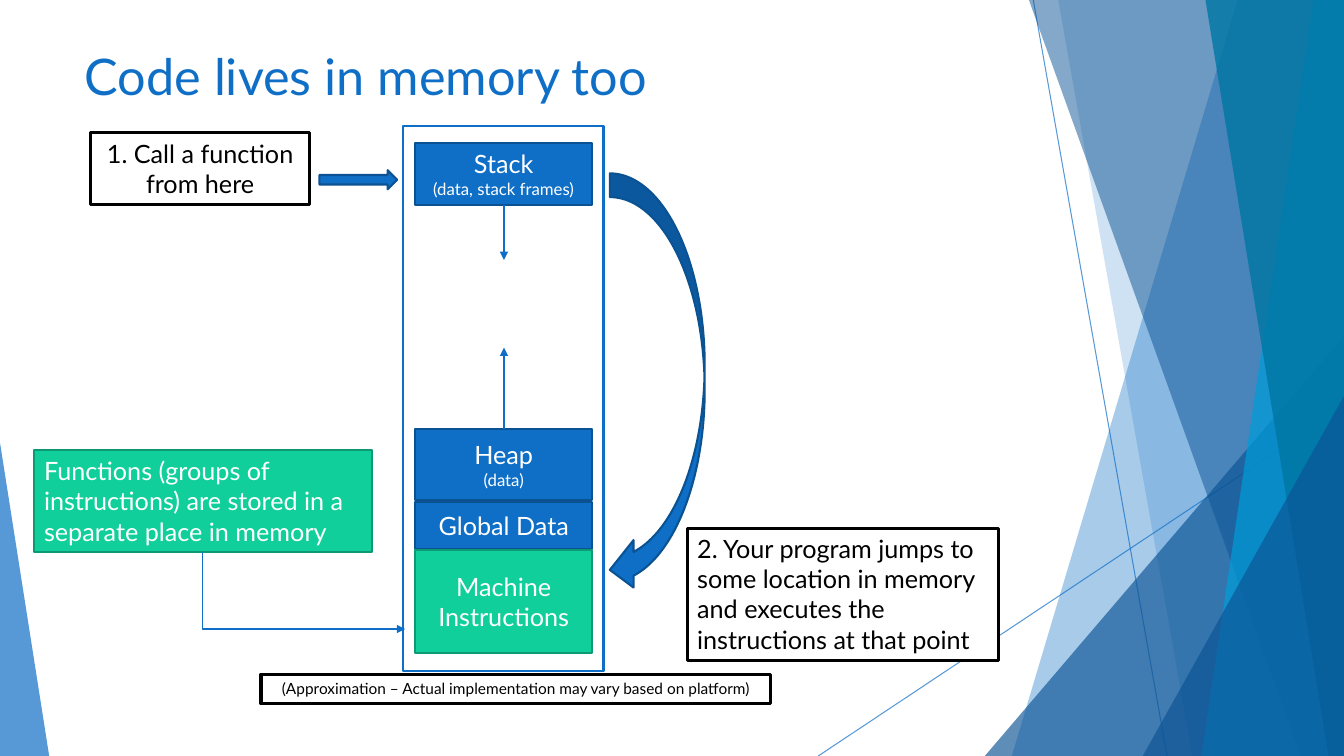
import lxml.etree
import pptx
import pptx.dml.color
import pptx.enum.shapes
import pptx.enum.text
import pptx.oxml.ns
import pptx.util

Cm = pptx.util.Cm
Pt = pptx.util.Pt
RGBColor = pptx.dml.color.RGBColor
Shapes = pptx.enum.shapes.MSO_SHAPE
Connectors = pptx.enum.shapes.MSO_CONNECTOR
Align = pptx.enum.text.PP_ALIGN
Anchor = pptx.enum.text.MSO_ANCHOR
qn = pptx.oxml.ns.qn

BLUE = RGBColor(0x0F, 0x6F, 0xC6)
BLUE_EDGE = RGBColor(0x0B, 0x52, 0x92)
NAVY = RGBColor(0x0B, 0x53, 0x94)
CYAN = RGBColor(0x00, 0x9D, 0xD9)
TEAL = RGBColor(0x00, 0x76, 0xA3)
GREEN = RGBColor(0x10, 0xCF, 0x9B)
GREEN_EDGE = RGBColor(0x0C, 0x99, 0x73)
WHITE = RGBColor(0xFF, 0xFF, 0xFF)
BLACK = RGBColor(0x00, 0x00, 0x00)

SLIDE_WIDTH, SLIDE_HEIGHT = 33.87, 19.05


class SlideBuilder:
    """Holds the style and the current slide; lengths are centimetres."""

    font_name = "Lato"
    text_size = 18

    def __init__(self, presentation):
        """Add a title-only slide."""
        self.slide = presentation.slides.add_slide(presentation.slide_layouts[5])
        self.shapes = self.slide.shapes

    def set_opacity(self, fill, percent):
        """Make a solid fill partly transparent."""
        color = fill._xPr.find(qn("a:solidFill"))[0]
        lxml.etree.SubElement(color, qn("a:alpha")).set("val", str(percent * 1000))

    def add_run(self, paragraph, text, size, color):
        """Add one formatted run."""
        run = paragraph.add_run()
        run.text = text
        run.font.name = self.font_name
        run.font.size = Pt(size)
        run.font.color.rgb = color

    def title(self, text, left, top, width, height):
        """Place the title placeholder in front of the backdrop."""
        title = self.shapes.title
        title.left, title.top = Cm(left), Cm(top)
        title.width, title.height = Cm(width), Cm(height)
        title.text_frame.vertical_anchor = Anchor.MIDDLE
        paragraph = title.text_frame.paragraphs[0]
        paragraph.alignment = Align.LEFT
        self.add_run(paragraph, text, 36, BLUE)
        title.element.getparent().append(title.element)

    def paint(self, shape, fill, edge=None, edge_width=1.5):
        """Set fill and outline and drop the shadow."""
        shape.shadow.inherit = False
        shape.fill.solid()
        shape.fill.fore_color.rgb = fill
        if edge is None:
            shape.line.fill.background()
        else:
            shape.line.color.rgb = edge
            shape.line.width = Pt(edge_width)

    def shape(self, kind, box, fill, edge=None, edge_width=1.5):
        """Add a painted preset shape."""
        shape = self.shapes.add_shape(kind, *map(Cm, box))
        self.paint(shape, fill, edge, edge_width)
        return shape

    def add_text(self, shape, lines, color, align=Align.CENTER):
        """Put (text, size) lines into a shape as one paragraph."""
        paragraph = shape.text_frame.paragraphs[0]
        paragraph.alignment = align
        for index, (text, size) in enumerate(lines):
            if index:
                paragraph.add_line_break()
            self.add_run(paragraph, text, size, color)

    def segment(self, top, height, lines, fill=BLUE, edge=BLUE_EDGE):
        """Add one memory segment to the column."""
        box = self.shape(Shapes.RECTANGLE, (10.46, top, 4.47, height), fill, edge)
        self.add_text(box, lines, WHITE)

    def note(self, box, text, align=Align.LEFT, size=text_size, fill=WHITE,
             edge=BLACK, edge_width=2.25, color=BLACK):
        """Add an explanatory box that grows with its text."""
        note = self.shape(Shapes.RECTANGLE, box, fill, edge, edge_width)
        note.text_frame.vertical_anchor = Anchor.TOP
        note.text_frame.auto_size = pptx.enum.text.MSO_AUTO_SIZE.SHAPE_TO_FIT_TEXT
        self.add_text(note, [(text, size)], color, align)

    def line(self, start, end, width=1, arrow=True, kind=Connectors.STRAIGHT):
        """Add a blue connector, with an arrowhead if wanted."""
        line = self.shapes.add_connector(kind, *map(Cm, (*start, *end)))
        line.line.color.rgb = BLUE
        line.line.width = Pt(width)
        if arrow:
            tail = lxml.etree.SubElement(line.line._get_or_add_ln(), qn("a:tailEnd"))
            tail.set("type", "triangle")
        lxml.etree.SubElement(line.element.spPr, qn("a:effectLst"))
        return line

    def corner_arrow(self, start, end):
        """Add an arrow that runs down, then right, with a single bend."""
        center_x, center_y = (start[0] + end[0]) / 2, (start[1] + end[1]) / 2
        half_run, half_drop = (end[0] - start[0]) / 2, (end[1] - start[1]) / 2
        arrow = self.line((center_x + half_drop, center_y - half_run),
                          (center_x - half_drop, center_y + half_run),
                          kind=Connectors.ELBOW)
        properties = arrow.element.spPr
        properties.find(qn("a:xfrm")).set("rot", str(270 * 60000))
        properties.find(qn("a:prstGeom")).set("prst", "bentConnector2")

    def backdrop_line(self, start, end):
        """Add a thin translucent line."""
        line = self.line(start, end, 0.75, arrow=False)
        self.set_opacity(line.line.fill, 70)

    def backdrop_band(self, top_x, bottom_x, color, opacity):
        """Fill from a slanted edge to the right side of the slide."""
        builder = self.shapes.build_freeform(Cm(top_x), 0)
        corners = [(SLIDE_WIDTH, 0), (SLIDE_WIDTH, SLIDE_HEIGHT), (bottom_x, SLIDE_HEIGHT)]
        builder.add_line_segments([(Cm(x), Cm(y)) for x, y in corners])
        band = builder.convert_to_shape()
        self.paint(band, color)
        self.set_opacity(band.fill, opacity)

    def backdrop_triangle(self, left, top, width, apex, color, opacity):
        """Add a triangle that stands on the bottom of the slide."""
        box = (left, top, width, SLIDE_HEIGHT - top)
        triangle = self.shape(Shapes.ISOSCELES_TRIANGLE, box, color)
        triangle.adjustments[0] = apex
        self.set_opacity(triangle.fill, opacity)


def draw_backdrop(builder):
    """Draw the translucent facets, from back to front."""
    builder.backdrop_line((26.04, 0), (29.41, SLIDE_HEIGHT))
    builder.backdrop_line((SLIDE_WIDTH, 10.24), (20.62, SLIDE_HEIGHT))
    builder.backdrop_band(31.19, 25.5, BLUE, 36)
    builder.backdrop_band(26.67, 30.05, BLUE, 20)
    builder.backdrop_triangle(24.82, 8.46, 9.05, 1, NAVY, 66)
    builder.backdrop_band(25.93, 32.79, NAVY, 50)
    builder.backdrop_band(33.1, 30.28, CYAN, 70)
    builder.backdrop_band(30.38, 33.48, TEAL, 80)
    builder.backdrop_triangle(28.8, 9.98, 5.07, 1, NAVY, 66)
    builder.backdrop_triangle(0, 11.15, 1.24, 0, BLUE, 70)


def draw_memory(builder):
    """Draw the memory column with its segments and growth arrows."""
    builder.shape(Shapes.RECTANGLE, (10.16, 3.18, 5.05, 13.72), WHITE, BLUE)
    builder.segment(3.61, 1.55, [("Stack", 18), ("(data, stack frames)", 12)])
    builder.segment(10.8, 1.8, [("Heap", 18), ("(data)", 12)])
    builder.segment(12.65, 1.19, [("Global Data", 18)])
    builder.segment(13.87, 2.59, [("Machine Instructions", 18)], GREEN, GREEN_EDGE)
    builder.line((12.7, 10.8), (12.7, 8.76))
    builder.line((12.7, 5.16), (12.7, 6.55))


def draw_call(builder):
    """Draw the notes and arrows that follow a function call."""
    builder.note((6.58, 16.99, 12.85, 0.74),
                 "(Approximation – Actual implementation may vary based on platform)",
                 Align.CENTER, size=11)
    builder.note((2.29, 3.35, 5.51, 1.8), "1. Call a function from here", Align.CENTER)
    builder.shape(Shapes.RIGHT_ARROW, (8.05, 4.29, 1.96, 0.48), BLUE, BLUE_EDGE)
    builder.shape(Shapes.CURVED_LEFT_ARROW, (15.37, 4.37, 2.39, 10.59), BLUE, BLUE_EDGE)
    builder.note((17.32, 13.31, 7.85, 3.33),
                 "2. Your program jumps to some location in memory and executes "
                 "the instructions at that point")
    builder.note((0.86, 11.35, 8.51, 2.57),
                 "Functions (groups of instructions) are stored in a separate place in memory",
                 fill=GREEN, edge=GREEN_EDGE, edge_width=1.5, color=WHITE)
    builder.corner_arrow((5.11, 13.92), (10.21, 15.85))


def main():
    """Build and save the presentation."""
    presentation = pptx.Presentation()
    presentation.slide_width = Cm(SLIDE_WIDTH)
    presentation.slide_height = Cm(SLIDE_HEIGHT)
    builder = SlideBuilder(presentation)
    draw_backdrop(builder)
    builder.title("Code lives in memory too", 1.88, 0.86, 23.88, 2.08)
    draw_memory(builder)
    draw_call(builder)
    presentation.save("out.pptx")


main()
